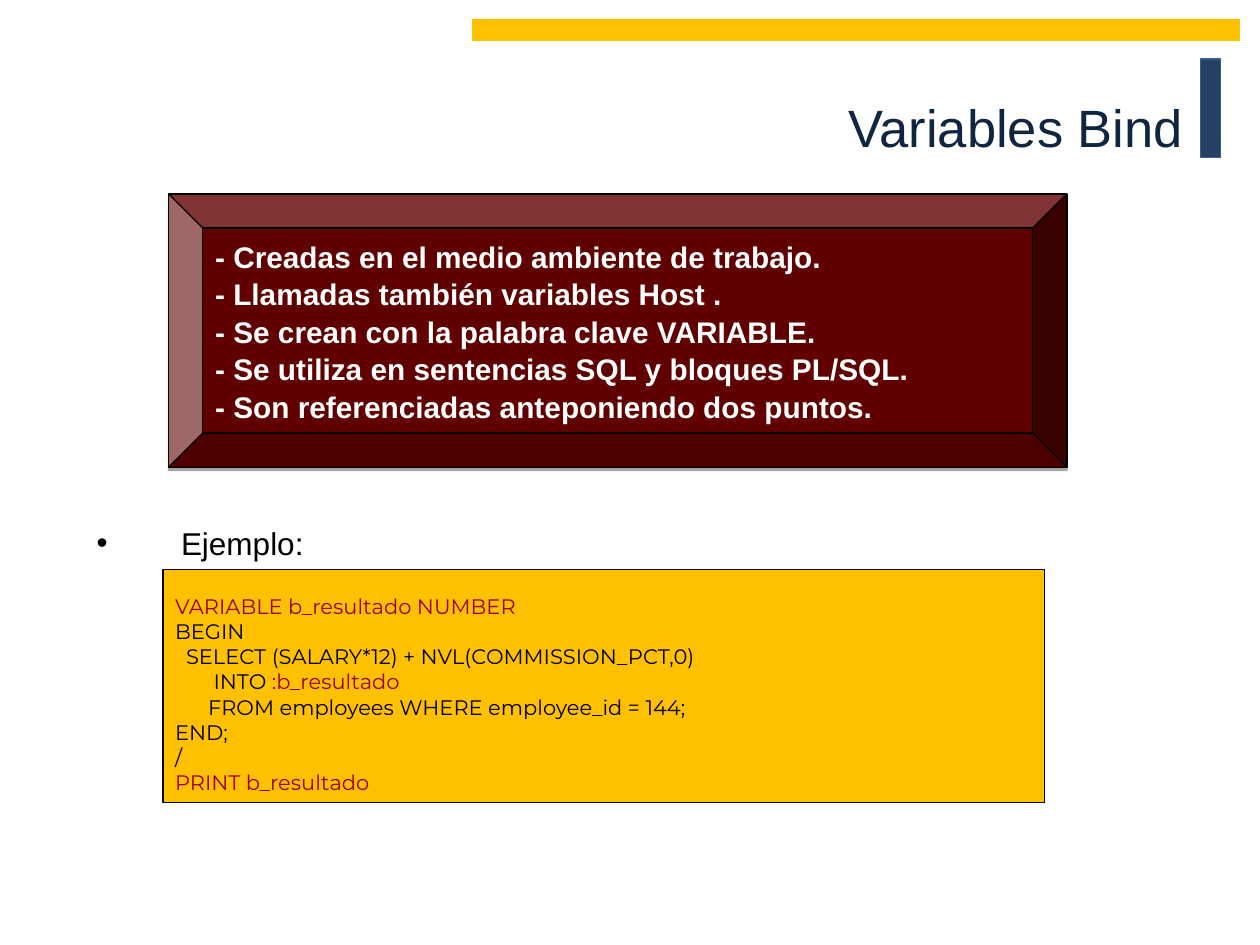
from lxml import etree
from pptx import Presentation
from pptx.dml.color import RGBColor
from pptx.enum.shapes import MSO_SHAPE
from pptx.enum.text import MSO_ANCHOR, PP_ALIGN
from pptx.oxml.ns import qn
from pptx.util import Cm, Pt

RECTANGLE, BEVEL = MSO_SHAPE.RECTANGLE, MSO_SHAPE.BEVEL
TOP, MIDDLE = MSO_ANCHOR.TOP, MSO_ANCHOR.MIDDLE
LEFT, RIGHT = PP_ALIGN.LEFT, PP_ALIGN.RIGHT

GOLD, BLACK, WHITE, CRIMSON = "FFC000", "000000", "FFFFFF", "990033"
TITLE_FORMAT = {"name": "Arial", "size": Pt(30)}
FEATURE_FORMAT = {"name": "Arial", "size": Pt(17), "bold": True}
EXAMPLE_FORMAT = {"name": "Arial", "size": Pt(18)}
CODE_FORMAT = {"name": "Montserrat", "size": Pt(12)}

FEATURES = [
    "- Creadas en el medio ambiente de trabajo.",
    "- Llamadas también variables Host .",
    "- Se crean con la palabra clave VARIABLE.",
    "- Se utiliza en sentencias SQL y bloques PL/SQL.",
    "- Son referenciadas anteponiendo dos puntos.",
]
CODE = [
    [("VARIABLE b_resultado NUMBER", CRIMSON)],
    [("BEGIN", BLACK)],
    [("  SELECT (SALARY*12) + NVL(COMMISSION_PCT,0)", BLACK)],
    [("       INTO ", BLACK), (":b_resultado", CRIMSON)],
    [("      FROM employees WHERE employee_id = 144;", BLACK)],
    [("END;", BLACK)],
    [("/", BLACK)],
    [("PRINT b_resultado", CRIMSON)],
]


def color(value):
    """Turn a hex string into a colour."""
    return RGBColor.from_string(value)


def add_box(slide, preset, bounds, fill, line, line_width=0.75):
    """Add a filled and outlined preset shape without a shadow."""
    shape = slide.shapes.add_shape(preset, *map(Cm, bounds))
    shape.shadow.inherit = False
    shape.fill.solid()
    shape.fill.fore_color.rgb = color(fill)
    shape.line.color.rgb = color(line)
    shape.line.width = Pt(line_width)
    return shape


def add_drop_shadow(shape, distance, opacity):
    """Give a shape a hard black shadow straight below it."""
    effects = shape._element.spPr.find(qn("a:effectLst"))
    shadow = etree.SubElement(
        effects, qn("a:outerShdw"), blurRad="0", dist=str(Pt(distance)),
        dir="5400000", algn="ctr", rotWithShape="0")
    shade = etree.SubElement(shadow, qn("a:srgbClr"), val=BLACK)
    etree.SubElement(shade, qn("a:alpha"), val=str(opacity * 1000))


def write_lines(shape, lines, font_format, anchor=TOP, alignment=LEFT, spacing=1.0):
    """Write lines of coloured runs into a shape."""
    frame = shape.text_frame
    frame.word_wrap = True
    frame.vertical_anchor = anchor
    for index, runs in enumerate(lines):
        paragraph = frame.add_paragraph() if index else frame.paragraphs[0]
        paragraph.alignment = alignment
        paragraph.line_spacing = spacing
        for text, text_color in runs:
            run = paragraph.add_run()
            run.text = text
            run.font.color.rgb = color(text_color)
            for name, value in font_format.items():
                setattr(run.font, name, value)
    return frame


def add_text(slide, bounds, text, text_color, font_format, **layout):
    """Add a text box with one line of text."""
    box = slide.shapes.add_textbox(*map(Cm, bounds))
    return write_lines(box, [[(text, text_color)]], font_format, **layout)


def add_bullet(paragraph, indent):
    """Give a paragraph a round bullet with a hanging indent."""
    properties = paragraph._p.get_or_add_pPr()
    properties.set("marL", str(Cm(indent)))
    properties.set("indent", str(-Cm(indent)))
    etree.SubElement(properties, qn("a:buFont"), typeface="Arial")
    etree.SubElement(properties, qn("a:buChar"), char="•")


def main():
    """Build the slide about bind variables."""
    presentation = Presentation()
    presentation.slide_width, presentation.slide_height = Cm(25.4), Cm(19.05)
    slide = presentation.slides.add_slide(presentation.slide_layouts[6])

    add_box(slide, RECTANGLE, (24.2, 1.19, 0.41, 1.98), "254061", "376092")
    add_box(slide, RECTANGLE, (9.52, 0.4, 15.47, 0.41), GOLD, GOLD)
    add_text(slide, (1.7, 0.53, 22.4, 4.06), "Variables Bind", "10253F",
             TITLE_FORMAT, anchor=MIDDLE, alignment=RIGHT)

    example = add_text(slide, (1.7, 10.44, 22.2, 1), "Ejemplo:", BLACK, EXAMPLE_FORMAT)
    add_bullet(example.paragraphs[0], 1.7)

    code_box = add_box(slide, RECTANGLE, (3.28, 11.48, 17.78, 4.7), GOLD, BLACK, 1)
    write_lines(code_box, CODE, CODE_FORMAT).margin_top = Cm(0.48)

    feature_box = add_box(slide, BEVEL, (3.4, 3.91, 18.11, 5.51), "600000", BLACK)
    add_drop_shadow(feature_box, 1.8, 35)
    write_lines(feature_box, [[(feature, WHITE)] for feature in FEATURES],
                FEATURE_FORMAT, anchor=MIDDLE, spacing=1.05)

    presentation.save("out.pptx")


if __name__ == "__main__":
    main()
